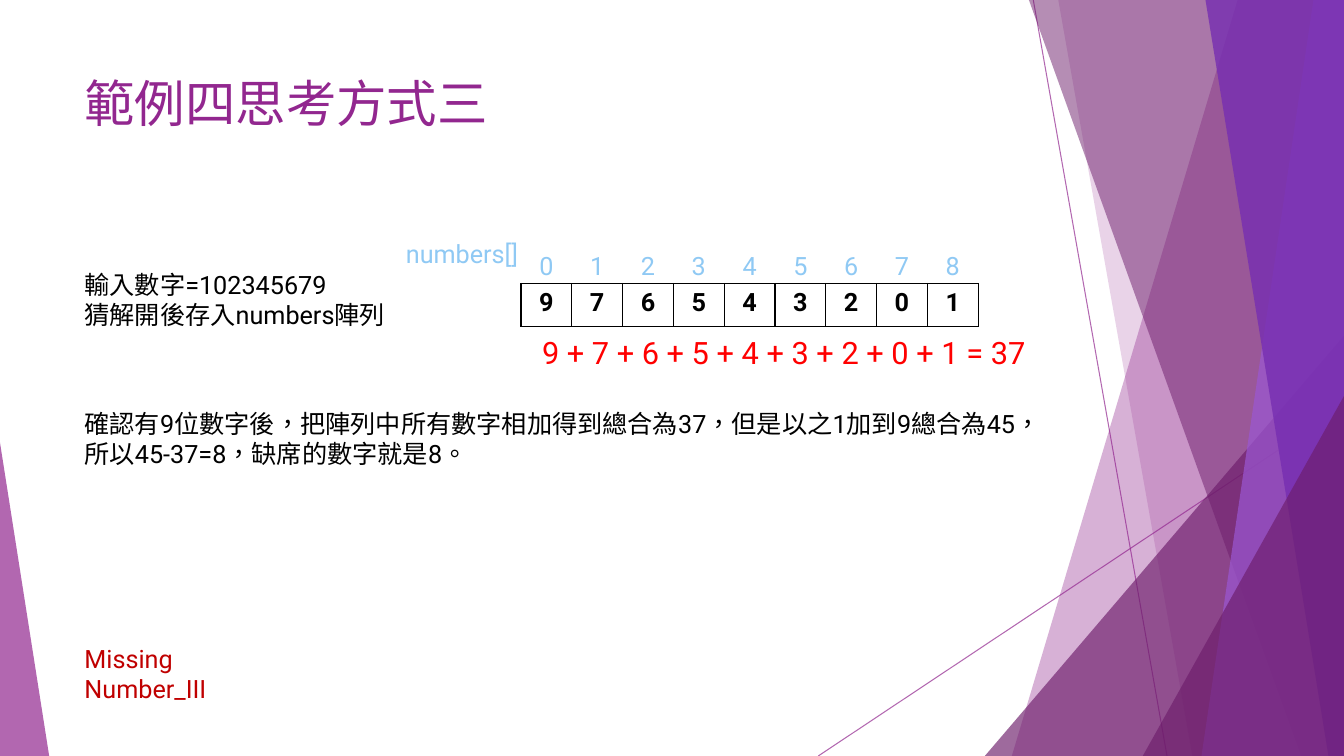
from lxml.etree import SubElement
from pptx import Presentation
from pptx.dml.color import RGBColor
from pptx.enum.shapes import MSO_CONNECTOR, MSO_SHAPE
from pptx.enum.text import PP_ALIGN
from pptx.oxml.ns import qn
from pptx.util import Cm, Pt

WIDTH, HEIGHT = 33.87, 19.05
FONT = "Roboto"
COLORS = {
    "purple": "92278F", "plum": "6D1D6B", "lilac": "9B57D3", "violet": "762EB1",
    "sky": "8FC9F4", "red": "FF0000", "crimson": "C00000",
    "black": "000000", "white": "FFFFFF",
}


def rgb(name):
    """Return the named colour."""
    return RGBColor.from_string(COLORS[name])


def set_opacity(shape, percent):
    """Make the shape's fill or line colour partly transparent."""
    for color in shape._element.spPr.iter(qn("a:srgbClr")):
        SubElement(color, qn("a:alpha"), val=str(percent * 1000))


def write_text(frame, text, size=18, color="black", bold=False, align=PP_ALIGN.LEFT):
    """Write text into a frame, one paragraph for each line."""
    frame.word_wrap = True
    for number, line in enumerate(text.split("\n")):
        para = frame.add_paragraph() if number else frame.paragraphs[0]
        para.alignment = align
        span = para.add_run()
        span.text = line
        span.font.name, span.font.size, span.font.bold = FONT, Pt(size), bold
        span.font.color.rgb = rgb(color)
        properties = span._r.get_or_add_rPr()
        properties.set("lang", "zh-TW")
        SubElement(properties, qn("a:ea"), typeface=FONT)


class SlidePainter:
    """Draws elements in one style on the current slide, measured in centimetres."""

    def __init__(self, slide):
        """Keep the current slide."""
        self.shapes = slide.shapes

    def paint(self, shape, color, opacity):
        """Give a shape a transparent fill without outline or shadow."""
        shape.shadow.inherit = False
        shape.fill.solid()
        shape.fill.fore_color.rgb = rgb(color)
        shape.line.fill.background()
        set_opacity(shape, opacity)

    def line(self, start, end):
        """Draw a thin decorative line."""
        connector = self.shapes.add_connector(
            MSO_CONNECTOR.STRAIGHT, *map(Cm, (*start, *end)))
        connector.line.width = Pt(0.75)
        connector.line.color.rgb = rgb("purple")
        set_opacity(connector, 70)
        SubElement(connector._element.spPr, qn("a:effectLst"))

    def band(self, top_x, bottom_x, color, opacity):
        """Fill the area from a slanted edge to the right side of the slide."""
        corners = [(WIDTH, 0), (WIDTH, HEIGHT), (bottom_x, HEIGHT)]
        builder = self.shapes.build_freeform(Cm(top_x), Cm(0))
        builder.add_line_segments([(Cm(x), Cm(y)) for x, y in corners], close=True)
        self.paint(builder.convert_to_shape(), color, opacity)

    def triangle(self, left, top, width, apex, color, opacity):
        """Draw a triangle that stands on the bottom edge of the slide."""
        shape = self.shapes.add_shape(
            MSO_SHAPE.ISOSCELES_TRIANGLE, *map(Cm, (left, top, width, HEIGHT - top)))
        shape.adjustments[0] = apex
        self.paint(shape, color, opacity)

    def text(self, left, top, width, height, text, **style):
        """Add a text box."""
        box = self.shapes.add_textbox(*map(Cm, (left, top, width, height)))
        write_text(box.text_frame, text, **style)

    def number_row(self, left, top, values, border=None, **style):
        """Add a one-row table with one number in each cell."""
        cell_width, height = 1.28, 1.09
        frame = self.shapes.add_table(
            1, len(values), Cm(left), Cm(top), Cm(cell_width * len(values)), Cm(height))
        table = frame.table
        table.first_row = table.horz_banding = False
        for column, cell, value in zip(table.columns, table.rows[0].cells, values):
            column.width = Cm(cell_width)
            if border:
                self.cell_border(cell, border)
            cell.fill.solid()
            cell.fill.fore_color.rgb = rgb("white")
            write_text(cell.text_frame, value, align=PP_ALIGN.CENTER, **style)

    def cell_border(self, cell, color):
        """Draw a one-point border on all sides of a cell."""
        properties = cell._tc.get_or_add_tcPr()
        for side in "LRTB":
            edge = SubElement(properties, qn(f"a:ln{side}"), w=str(Pt(1)))
            fill = SubElement(edge, qn("a:solidFill"))
            SubElement(fill, qn("a:srgbClr"), val=COLORS[color])


def draw_background(painter):
    """Draw the overlapping facets and lines, from back to front."""
    painter.line((26.04, 0), (29.41, HEIGHT))
    painter.line((WIDTH, 10.24), (20.62, HEIGHT))
    painter.band(31.19, 25.5, "purple", 36)
    painter.band(26.67, 30.05, "purple", 20)
    painter.triangle(24.82, 8.46, 9.05, 1, "plum", 66)
    painter.band(25.93, 32.79, "plum", 50)
    painter.band(33.1, 30.28, "lilac", 70)
    painter.band(30.38, 33.48, "violet", 80)
    painter.triangle(28.8, 9.98, 5.07, 1, "plum", 66)
    painter.triangle(0, 11.15, 1.24, 0, "purple", 70)


def draw_content(painter):
    """Add the title, the numbers array and the explanation."""
    margin, array_left = 1.88, 13.13
    digits = "976543201"
    painter.text(margin, 1.7, 23.88, 3.66, "範例四思考方式三", size=36, color="purple")
    painter.text(margin, 6.65, 8.1, 1.8, "輸入數字=102345679\n猜解開後存入numbers陣列")
    painter.number_row(array_left, 6.22, [str(i) for i in range(len(digits))], color="sky")
    painter.number_row(array_left, 7.14, digits, border="black", bold=True)
    painter.text(9.98, 5.89, 3.43, 1.02, "numbers[]", color="sky")
    painter.text(margin, 10.16, 24.69, 1.8,
                 "確認有9位數字後，把陣列中所有數字相加得到總合為37，但是以之1加到9總合為45，\n"
                 "所以45-37=8，缺席的數字就是8。")
    total = sum(map(int, digits))
    painter.text(13.41, 8.28, 12.95, 1.19, f"{' + '.join(digits)} = {total}",
                 size=22, color="red")
    painter.text(margin, 16.08, 5.6, 1.02, "Missing Number_III", color="crimson")


def main():
    """Build and save the deck."""
    deck = Presentation()
    deck.slide_width, deck.slide_height = Cm(WIDTH), Cm(HEIGHT)
    page = deck.slides.add_slide(deck.slide_layouts[6])
    painter = SlidePainter(page)
    draw_background(painter)
    draw_content(painter)
    deck.save("out.pptx")


main()
